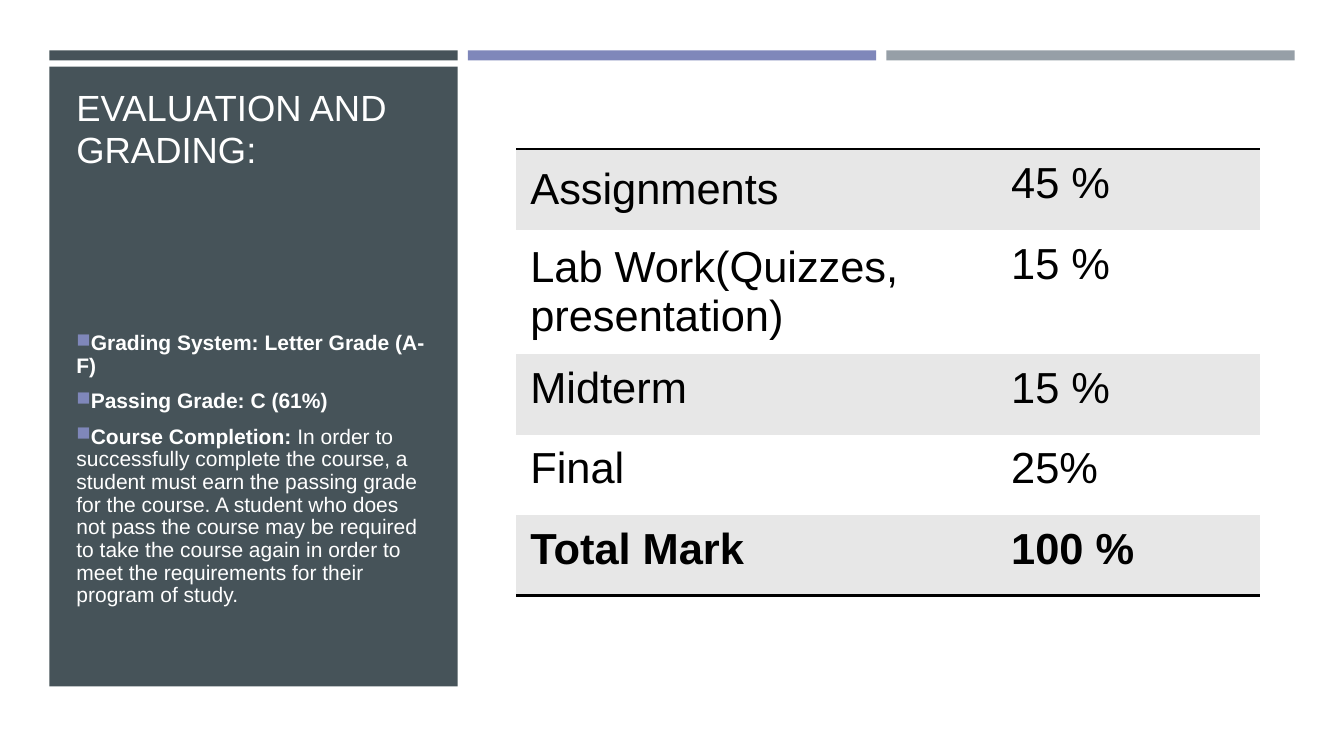
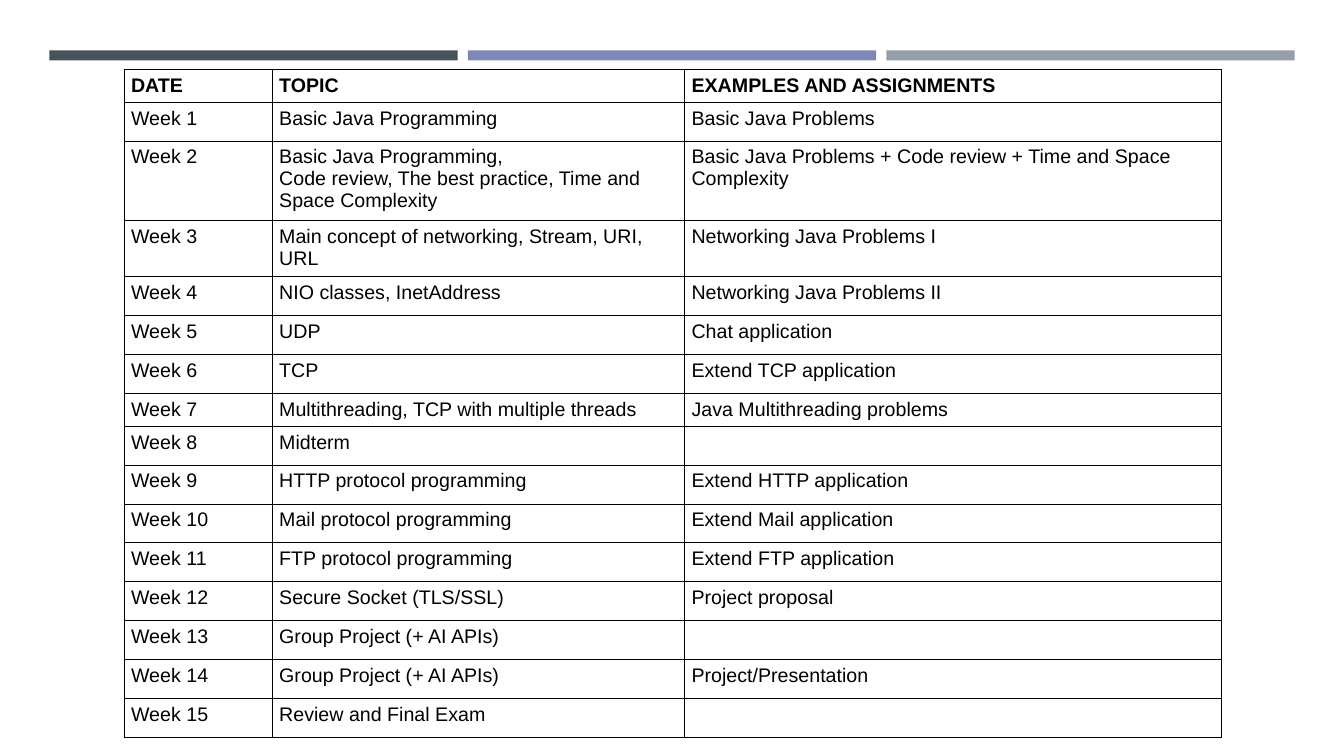
from dataclasses import dataclass, field
from typing import Any

from lxml import etree
from pptx import Presentation
from pptx.dml.color import RGBColor
from pptx.enum import shapes, text
from pptx.oxml import ns
from pptx.util import Inches, Pt


@dataclass(frozen=True)
class Theme:
    """Colours, type sizes and the column grid (inches) of the deck."""
    slate: str = "465359"
    violet: str = "7F87BA"
    steel: str = "969FA7"
    band: str = "E7E7E7"
    white: str = "FFFFFF"
    black: str = "000000"
    font: str = "Arial"
    title_size: float = 26
    body_size: float = 15
    grade_size: float = 31
    schedule_size: float = 14
    width: float = 13.33
    height: float = 7.5
    margin: float = 0.49
    column: float = 4.05
    gap: float = 0.1
    bar_top: float = 0.5
    bar_height: float = 0.1


THEME = Theme()


@dataclass(frozen=True)
class Area:
    left: float
    top: float
    width: float
    height: float

    def lengths(self) -> tuple:
        return tuple(map(Inches, (self.left, self.top, self.width, self.height)))


@dataclass(frozen=True)
class Span:
    words: str
    bold: bool = False


@dataclass(frozen=True)
class CellStyle:
    size: float
    fill: str = THEME.white
    bold: bool = False
    anchor: Any = text.MSO_ANCHOR.TOP
    margins: dict = field(default_factory=dict)
    borders: dict = field(default_factory=dict)  # side -> width in points


# Text of the two slides
TITLE = "EVALUATION AND GRADING:"
POLICIES = [
    [Span("Grading System: Letter Grade (A-F)", True)],
    [Span("Passing Grade: C (61%)", True)],
    [Span("Course Completion:", True),
     Span(" In order to successfully complete the course, a student must earn "
          "the passing grade for the course. A student who does not pass the "
          "course may be required to take the course again in order to meet "
          "the requirements for their program of study.")],
]
GRADES = [
    ("Assignments", "45 %"),
    ("Lab Work(Quizzes, presentation)", "15 %"),
    ("Midterm", "15 %"),
    ("Final", "25%"),
    ("Total Mark", "100 %"),
]
SCHEDULE_HEADER = ("DATE", "TOPIC", "EXAMPLES AND ASSIGNMENTS")
WEEKS = [
    ("Basic Java Programming", "Basic Java Problems"),
    ("Basic Java Programming,\n"
     "Code review, The best practice, Time and Space Complexity",
     "Basic Java Problems + Code review + Time and Space Complexity"),
    ("Main concept of networking, Stream, URI, URL", "Networking Java Problems I"),
    ("NIO classes, InetAddress", "Networking Java Problems II"),
    ("UDP", "Chat application"),
    ("TCP", "Extend TCP application"),
    ("Multithreading, TCP with multiple threads", "Java Multithreading problems"),
    ("Midterm", ""),
    ("HTTP protocol programming", "Extend HTTP application"),
    ("Mail protocol programming", "Extend Mail application"),
    ("FTP protocol programming", "Extend FTP application"),
    ("Secure Socket (TLS/SSL)", "Project proposal"),
    ("Group Project (+ AI APIs)", ""),
    ("Group Project (+ AI APIs)", "Project/Presentation"),
    ("Review and Final Exam", ""),
]


# Shared helpers
def apply(target: Any, values: dict) -> None:
    for name, value in values.items():
        setattr(target, name, value)


def format_font(font: Any, size: float, color: str, bold: bool = False) -> None:
    apply(font, {"name": THEME.font, "size": Pt(size), "bold": bold})
    font.color.rgb = RGBColor.from_string(color)


def add_block(page: Any, area: Area, color: str) -> None:
    block = page.shapes.add_shape(shapes.MSO_SHAPE.RECTANGLE, *area.lengths())
    block.shadow.inherit = False
    block.fill.solid()
    block.fill.fore_color.rgb = RGBColor.from_string(color)
    block.line.fill.background()


def add_page(deck: Any) -> Any:
    """Blank white slide with the three bars across the top."""
    page = deck.slides.add_slide(deck.slide_layouts[6])
    for index, color in enumerate((THEME.slate, THEME.violet, THEME.steel)):
        left = THEME.margin + index * (THEME.column + THEME.gap)
        add_block(page, Area(left, THEME.bar_top, THEME.column, THEME.bar_height), color)
    return page


def add_bullet(para: Any) -> None:
    properties = para._p.get_or_add_pPr()
    apply_indent = {"marL": "0", "indent": "0"}
    for name, value in apply_indent.items():
        properties.set(name, value)
    color = etree.SubElement(properties, ns.qn("a:buClr"))
    etree.SubElement(color, ns.qn("a:srgbClr"), val=THEME.violet)
    etree.SubElement(properties, ns.qn("a:buSzPct"), val="92000")
    etree.SubElement(properties, ns.qn("a:buChar"), char="■")


def add_text(page: Any, area: Area, paragraphs: list, size: float,
             spacing: float, bullets: bool = False) -> None:
    frame = page.shapes.add_textbox(*area.lengths()).text_frame
    apply(frame, {"word_wrap": True, "vertical_anchor": text.MSO_ANCHOR.TOP})
    for index, spans in enumerate(paragraphs):
        para = frame.add_paragraph() if index else frame.paragraphs[0]
        apply(para, {"line_spacing": spacing, "space_after": Pt(6),
                     "space_before": Pt(3 if index else 0)})
        if bullets:
            add_bullet(para)
        for span in spans:
            run = para.add_run()
            run.text = span.words
            format_font(run.font, size, THEME.white, span.bold)


def set_borders(cell: Any, borders: dict) -> None:
    properties = cell._tc.get_or_add_tcPr()
    for index, side in enumerate("LRTB"):
        line = etree.Element(ns.qn(f"a:ln{side}"))
        if side in borders:
            line.set("w", str(int(Pt(borders[side]))))
            fill = etree.SubElement(line, ns.qn("a:solidFill"))
            etree.SubElement(fill, ns.qn("a:srgbClr"), val=THEME.black)
        else:
            etree.SubElement(line, ns.qn("a:noFill"))
        properties.insert(index, line)


def fill_cell(cell: Any, words: str, style: CellStyle) -> None:
    cell.text = words
    apply(cell, {"vertical_anchor": style.anchor, **style.margins})
    cell.fill.solid()
    cell.fill.fore_color.rgb = RGBColor.from_string(style.fill)
    for para in cell.text_frame.paragraphs:
        format_font(para.font, style.size, THEME.black, style.bold)
        for run in para.runs:
            format_font(run.font, style.size, THEME.black, style.bold)
    set_borders(cell, style.borders)


def add_grid(page: Any, left: float, top: float, columns: list, heights: list,
             rows: list, styles: list) -> None:
    """Table with column widths in inches, row heights in points, a style per row."""
    area = Area(left, top, sum(columns), sum(heights) / 72)
    table = page.shapes.add_table(len(rows), len(columns), *area.lengths()).table
    apply(table, {"first_row": False, "horz_banding": False})
    for column, width in zip(table.columns, columns):
        column.width = Inches(width)
    for row, height, entries, style in zip(table.rows, heights, rows, styles):
        row.height = Pt(height)
        for index, (cell, words) in enumerate(zip(row.cells, entries)):
            fill_cell(cell, words, style[min(index, len(style) - 1)])


def margins(side: float, top: float, bottom: float) -> dict:
    return {"margin_left": Inches(side), "margin_right": Inches(side),
            "margin_top": Inches(top), "margin_bottom": Inches(bottom)}


# Slides
def build_grading(deck: Any) -> None:
    page = add_page(deck)
    add_block(page, Area(THEME.margin, 0.66, THEME.column, 6.15), THEME.slate)
    add_text(page, Area(0.66, 0.83, 3.73, 1.36), [[Span(TITLE)]], THEME.title_size, 0.95)
    add_text(page, Area(0.66, 3.25, 3.73, 3.31), POLICIES, THEME.body_size, 0.9, True)

    last = len(GRADES) - 1
    styles = []
    for index in range(len(GRADES)):
        borders = {"T": 2} if index == 0 else {"B": 2} if index == last else {}
        fill = THEME.white if index % 2 else THEME.band
        anchors = (text.MSO_ANCHOR.MIDDLE if index < 2 else text.MSO_ANCHOR.TOP,
                   text.MSO_ANCHOR.TOP)
        styles.append([CellStyle(THEME.grade_size, fill, index == last, anchor,
                                 margins(0.14, 0.1, 0.1), borders)
                       for anchor in anchors])
    single, double = 57.5, 83.5
    heights = [double if index == 1 else single for index in range(len(GRADES))]
    add_grid(page, 5.12, 1.48, [4.77, 2.61], heights, GRADES, styles)


def build_schedule(deck: Any) -> None:
    page = add_page(deck)
    rows = [SCHEDULE_HEADER]
    rows += [(f"Week {number}", *entry) for number, entry in enumerate(WEEKS, 1)]
    special = {0: 22.9, 2: 54.4, 3: 38.9, 7: 22.9}
    heights = [special.get(index, 27.8) for index in range(len(rows))]
    styles = [[CellStyle(THEME.schedule_size, bold=index == 0,
                         margins=margins(0.07, 0.05, 0.04),
                         borders=dict.fromkeys("LRTB", 0.75))]
              for index in range(len(rows))]
    add_grid(page, 1.23, 0.69, [1.47, 4.09, 5.33], heights, rows, styles)


def main() -> None:
    deck = Presentation()
    apply(deck, {"slide_width": Inches(THEME.width), "slide_height": Inches(THEME.height)})
    build_grading(deck)
    build_schedule(deck)
    deck.save("out.pptx")


if __name__ == "__main__":
    main()
